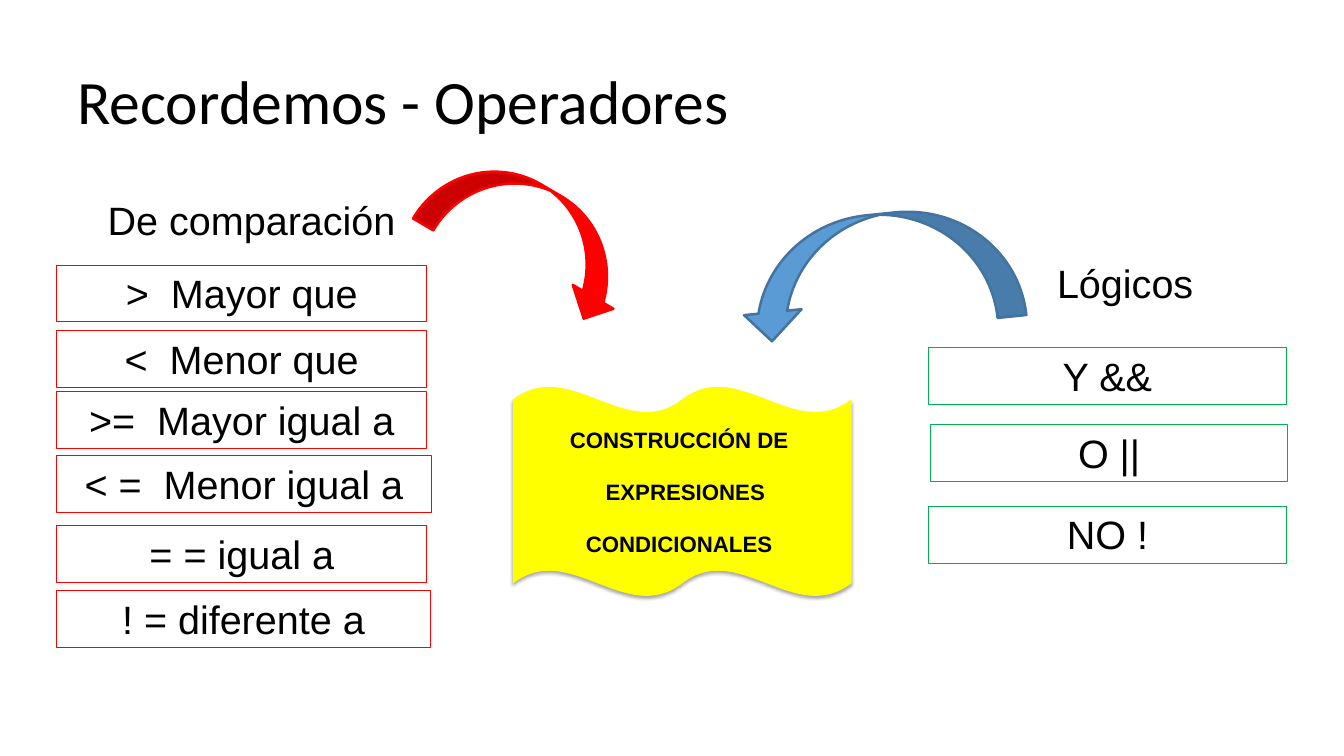
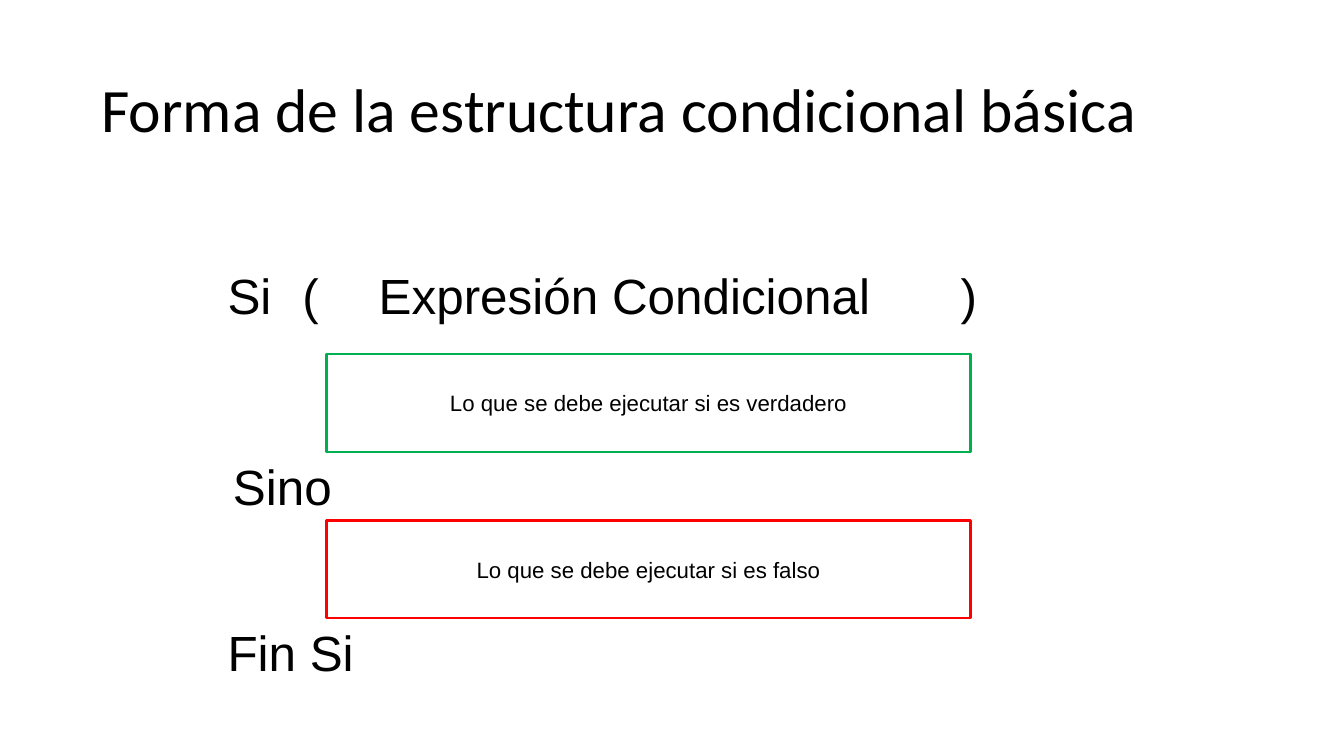
"""Build two slides on operators and the basic conditional structure."""
from lxml import etree
from pptx import Presentation
from pptx.dml.color import RGBColor
from pptx.enum.shapes import MSO_SHAPE
from pptx.enum.text import MSO_ANCHOR, MSO_AUTO_SIZE, PP_ALIGN
from pptx.oxml.ns import qn
from pptx.util import Emu, Pt

RECTANGLE = MSO_SHAPE.RECTANGLE
DOUBLE_WAVE = MSO_SHAPE.DOUBLE_WAVE
CURVED_DOWN = MSO_SHAPE.CURVED_DOWN_ARROW
CURVED_UP = MSO_SHAPE.CURVED_UP_ARROW
TOP, MIDDLE = MSO_ANCHOR.TOP, MSO_ANCHOR.MIDDLE
LEFT, CENTER = PP_ALIGN.LEFT, PP_ALIGN.CENTER
NO_AUTOFIT = MSO_AUTO_SIZE.NONE

EMU_PER_PX = 9144
SLIDE_WIDTH, SLIDE_HEIGHT = 1511, 850
TITLE_ONLY_LAYOUT = 5
TITLE_FONT, BODY_FONT = "Calibri", "Arial"
TITLE_SIZE, KEYWORD_SIZE, OPERATOR_SIZE, NOTE_SIZE = 49.9, 40, 32, 18
BLACK, RED, GREEN, YELLOW = "000000", "FF0000", "00B050", "FFFF00"
BLUE, DARK_BLUE = "5B9BD5", "43739E"
THIN, THICK = 0.75, 2

OPERATORS_TITLE = ("Recordemos - Operadores", (77, 35, 1196, 164))
HEADINGS = [("Lógicos", 1084, 286), ("De comparación", 102, 216)]
HEADING_WIDTH, OPERATOR_HEIGHT = 362, 64
COMPARISON_OPERATORS = [
    (">  Mayor que", 64, 298, 416),
    ("<  Menor que", 64, 372, 416),
    (">=  Mayor igual a", 64, 440, 416),
    ("< =  Menor igual a", 64, 512, 421),
    ("= = igual a", 64, 591, 416),
    ("! = diferente a", 64, 664, 420),
]
LOGICAL_OPERATORS = [
    ("Y &&", 1044, 391, 402),
    ("O ||", 1046, 477, 402),
    ("NO !", 1044, 569, 402),
]
ARROWS = [
    (CURVED_DOWN, (474, 210, 249, 106), 30.4, RED, RED),
    (CURVED_UP, (828, 241, 320, 130), 174.1, BLUE, DARK_BLUE),
]
BANNER_LINES = ["CONSTRUCCIÓN DE ", " EXPRESIONES", "CONDICIONALES "]
BANNER_BOX = (577, 435, 380, 235)
BANNER_GAP = 20.7

STRUCTURE_TITLE = (
    "Forma de la estructura condicional básica", (104, 45, 1303, 164))
KEYWORDS = [
    ("Si", 246, 293, 86),
    ("(", 330, 293, 55),
    (")", 1070, 293, 55),
    ("Expresión Condicional", 416, 293, 594),
    ("Sino", 252, 508, 148),
    ("Fin Si", 246, 695, 179),
]
KEYWORD_HEIGHT = 77
BRANCHES = [
    ("Lo que se debe ejecutar si es verdadero", 398, GREEN),
    ("Lo que se debe ejecutar si es falso", 585, RED),
]
BRANCH_LEFT, BRANCH_WIDTH, BRANCH_HEIGHT = 367, 724, 110


def px(*lengths):
    """Turn px lengths into EMU."""
    return [Emu(length * EMU_PER_PX) for length in lengths]


def color(hex_string):
    """Turn a hex string into a colour."""
    return RGBColor.from_string(hex_string)


def write(shape, *lines, size, font=BODY_FONT, bold=False, align=CENTER,
          anchor=TOP, wrap=True, gap=0, line_spacing=1.0):
    """Fill a shape with one formatted paragraph per line."""
    frame = shape.text_frame
    frame.auto_size = NO_AUTOFIT
    frame.word_wrap = wrap
    frame.vertical_anchor = anchor
    for index, line in enumerate(lines):
        paragraph = frame.add_paragraph() if index else frame.paragraphs[0]
        paragraph.alignment = align
        paragraph.line_spacing = line_spacing
        paragraph.space_before = Pt(gap if index else 0)
        run = paragraph.add_run()
        run.text = line
        run.font.name = font
        run.font.size = Pt(size)
        run.font.bold = bold
        run.font.color.rgb = color(BLACK)


def add_titled_slide(presentation, text, box):
    """Add a slide with the shared title style."""
    layout = presentation.slide_layouts[TITLE_ONLY_LAYOUT]
    slide = presentation.slides.add_slide(layout)
    title = slide.shapes.title
    title.left, title.top, title.width, title.height = px(*box)
    write(title, text, size=TITLE_SIZE, font=TITLE_FONT, align=LEFT,
          anchor=MIDDLE, line_spacing=0.9)
    return slide


def add_text(slide, text, box, **text_format):
    """Add a text box."""
    write(slide.shapes.add_textbox(*px(*box)), text, **text_format)


def add_figure(slide, kind, box, line, line_width, fill=None):
    """Add an outlined shape without a shadow."""
    shape = slide.shapes.add_shape(kind, *px(*box))
    shape.shadow.inherit = False
    if fill:
        shape.fill.solid()
        shape.fill.fore_color.rgb = color(fill)
    else:
        shape.fill.background()
    shape.line.color.rgb = color(line)
    shape.line.width = Pt(line_width)
    return shape


def add_shadow(shape):
    """Give a shape a soft black shadow falling straight down."""
    effects = shape._element.spPr.find(qn("a:effectLst"))
    shadow = etree.SubElement(
        effects, qn("a:outerShdw"), blurRad=str(Pt(3.1)), dist=str(Pt(1.8)),
        dir="5400000", rotWithShape="0")
    shade = etree.SubElement(shadow, qn("a:srgbClr"), val=BLACK)
    etree.SubElement(shade, qn("a:alpha"), val="35000")


def build_operators(presentation):
    """Build the slide that reviews the operators."""
    slide = add_titled_slide(presentation, *OPERATORS_TITLE)
    for text, left, top in HEADINGS:
        add_text(slide, text, (left, top, HEADING_WIDTH, OPERATOR_HEIGHT),
                 size=OPERATOR_SIZE)
    for operators, line in ((COMPARISON_OPERATORS, RED),
                            (LOGICAL_OPERATORS, GREEN)):
        for text, left, top, width in operators:
            box = (left, top, width, OPERATOR_HEIGHT)
            write(add_figure(slide, RECTANGLE, box, line, THIN), text,
                  size=OPERATOR_SIZE)
    for kind, box, rotation, fill, line in ARROWS:
        add_figure(slide, kind, box, line, THICK, fill).rotation = rotation
    banner = add_figure(slide, DOUBLE_WAVE, BANNER_BOX, YELLOW, THIN, YELLOW)
    add_shadow(banner)
    write(banner, *BANNER_LINES, size=NOTE_SIZE, bold=True, anchor=MIDDLE,
          gap=BANNER_GAP)


def build_structure(presentation):
    """Build the slide that shows the conditional structure."""
    slide = add_titled_slide(presentation, *STRUCTURE_TITLE)
    for text, left, top, width in KEYWORDS:
        add_text(slide, text, (left, top, width, KEYWORD_HEIGHT),
                 size=KEYWORD_SIZE, align=LEFT, wrap=False)
    for text, top, line in BRANCHES:
        box = (BRANCH_LEFT, top, BRANCH_WIDTH, BRANCH_HEIGHT)
        write(add_figure(slide, RECTANGLE, box, line, THICK), text,
              size=NOTE_SIZE, anchor=MIDDLE)


def main():
    """Build and save the presentation."""
    presentation = Presentation()
    presentation.slide_width, presentation.slide_height = px(
        SLIDE_WIDTH, SLIDE_HEIGHT)
    build_operators(presentation)
    build_structure(presentation)
    presentation.save("out.pptx")


if __name__ == "__main__":
    main()
